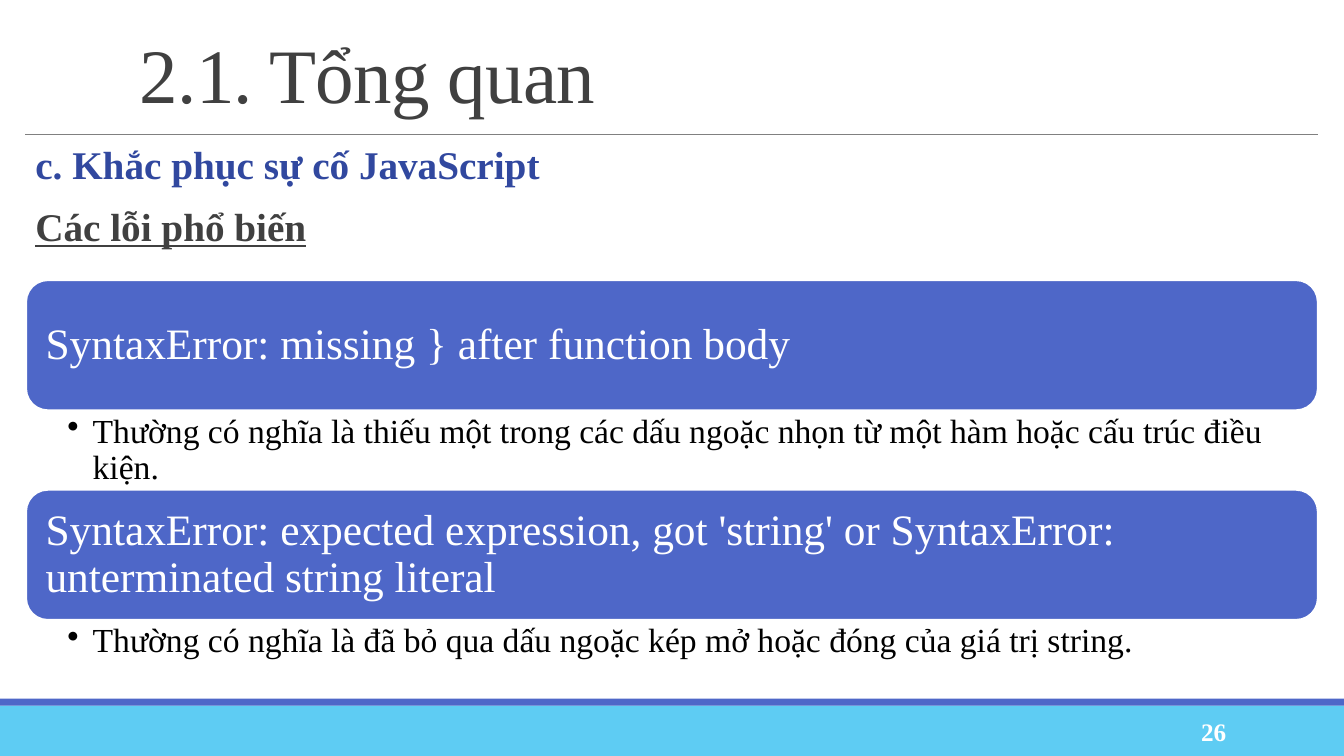
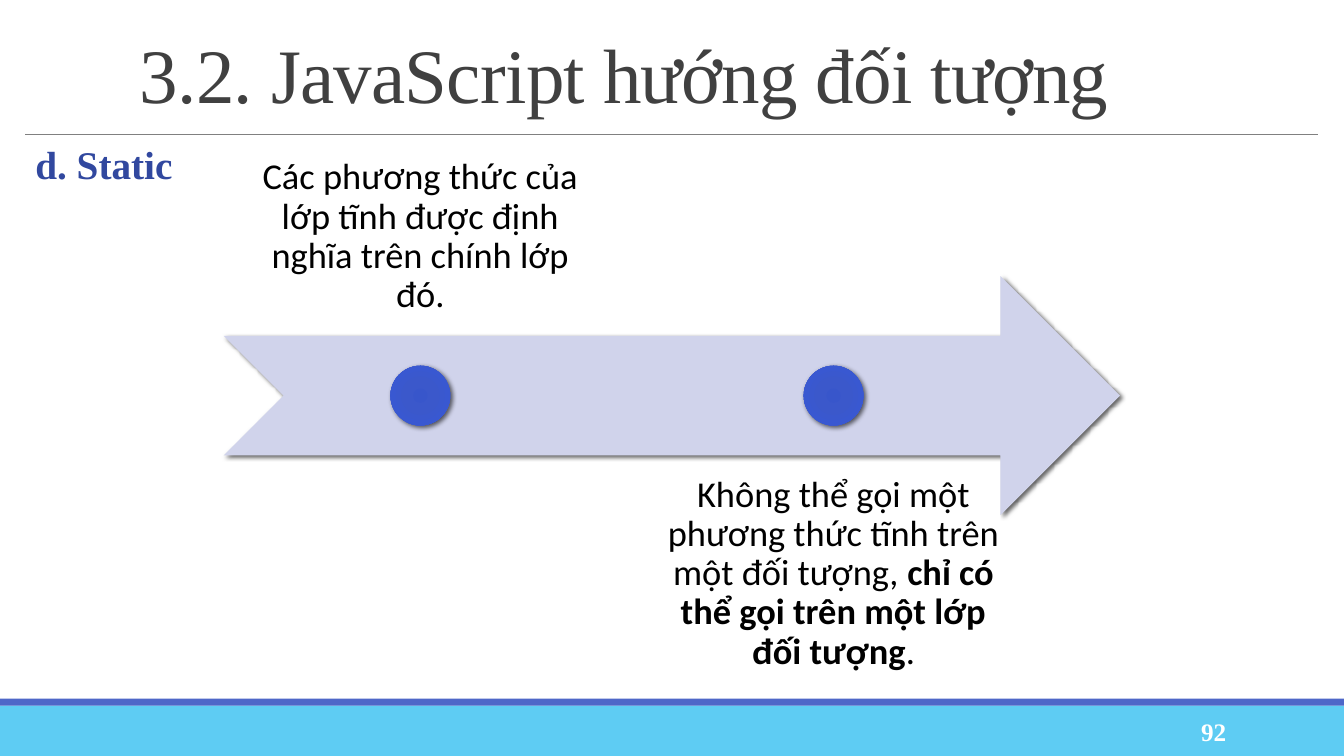
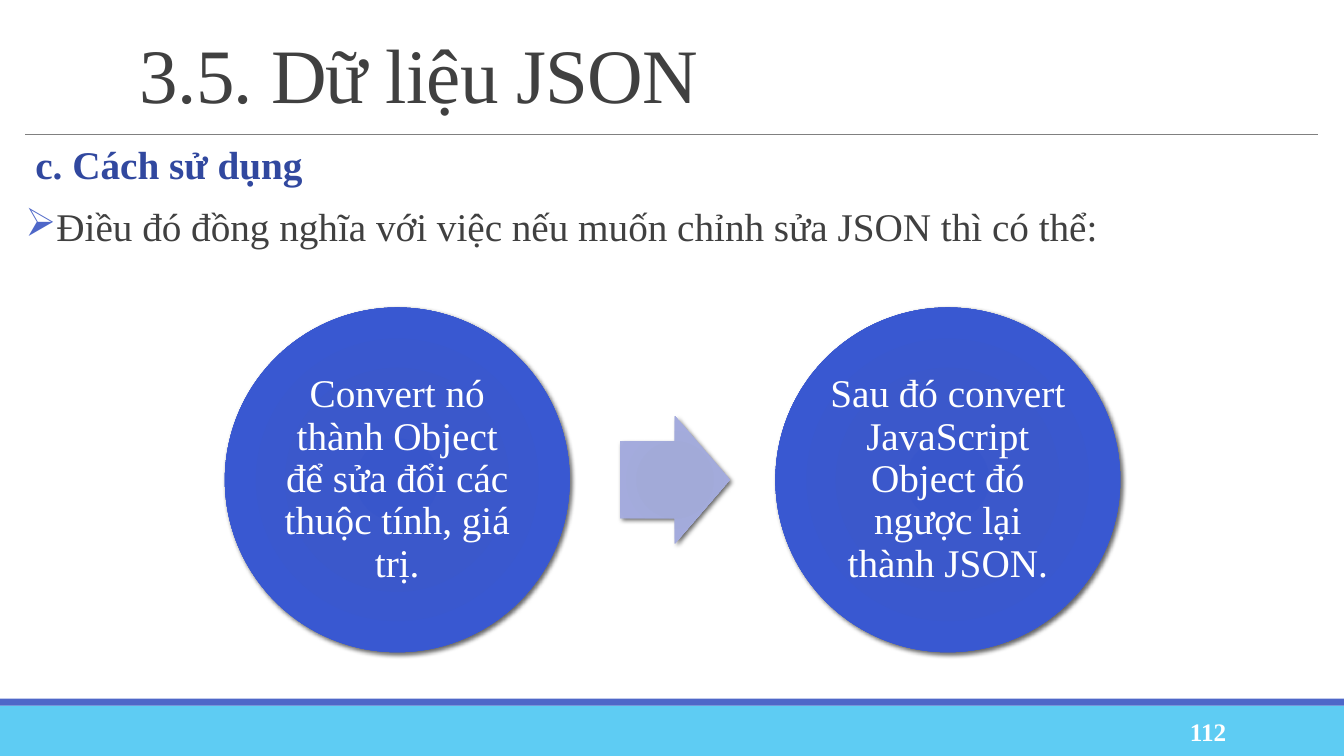
from dataclasses import dataclass

from lxml import etree
from pptx import Presentation
from pptx.dml.color import RGBColor
from pptx.enum.shapes import MSO_CONNECTOR, MSO_SHAPE
from pptx.enum.text import MSO_ANCHOR, PP_ALIGN
from pptx.oxml import parse_xml
from pptx.oxml.ns import nsdecls, qn
from pptx.util import Inches, Pt

RECTANGLE = MSO_SHAPE.RECTANGLE
ROUNDED = MSO_SHAPE.ROUNDED_RECTANGLE
ELLIPSE = MSO_SHAPE.OVAL
RIGHT_ARROW = MSO_SHAPE.RIGHT_ARROW
NOTCHED_ARROW = MSO_SHAPE.NOTCHED_RIGHT_ARROW
STRAIGHT = MSO_CONNECTOR.STRAIGHT
TOP, MIDDLE, BOTTOM = MSO_ANCHOR.TOP, MSO_ANCHOR.MIDDLE, MSO_ANCHOR.BOTTOM
LEFT, CENTER, RIGHT = PP_ALIGN.LEFT, PP_ALIGN.CENTER, PP_ALIGN.RIGHT

SERIF, SANS = "Times New Roman", "Calibri"
COLOURS = {
    "band": "5ECCF3",
    "accent": "4E67C8",
    "rule": "808080",
    "title": "404040",
    "heading": "31489F",
    "pale": "D0D3EB",
    "white": "FFFFFF",
    "black": "000000",
}
GRADIENTS = {
    "strong": ["3856CB", "3B58CB", "3958D1", "4863CE"],
    "soft": ["A0A7D7", "A2AAD8", "A4ABDD", "B0B7E2"],
}
GRADIENT_STOPS = [0, 34, 70, 100]


@dataclass
class Box:
    left: float
    top: float
    width: float
    height: float

    def share(self, left, top, width, height):
        return Box(
            self.left + self.width * left / 100,
            self.top + self.height * top / 100,
            self.width * width / 100,
            self.height * height / 100,
        )

    def lengths(self):
        return [Inches(side) for side in (self.left, self.top, self.width, self.height)]


SLIDE = Box(0, 0, 13.33, 7.5)
TITLE = SLIDE.share(9.68, 4.13, 88.37, 12.8)
BODY = SLIDE.share(1.88, 18.67, 96.17, 71.2)
NUMBER = SLIDE.share(81.25, 94.13, 10.73, 5.33)


def colour(name):
    return RGBColor.from_string(COLOURS[name])


def fill_gradient(shape, name):
    stops = "".join(
        f'<a:gs pos="{stop * 1000}"><a:srgbClr val="{value}"/></a:gs>'
        for stop, value in zip(GRADIENT_STOPS, GRADIENTS[name])
    )
    edges = " ".join(f'{side}="100000"' for side in "ltrb")
    gradient = parse_xml(
        f'<a:gradFill {nsdecls("a")} rotWithShape="1"><a:gsLst>{stops}</a:gsLst>'
        f'<a:path path="circle"><a:fillToRect {edges}/></a:path></a:gradFill>'
    )
    shape.fill.background()
    properties = shape._element.spPr
    properties.replace(properties.find(qn("a:noFill")), gradient)


def cast_shadow(shape, blur):
    effects = shape._element.spPr.find(qn("a:effectLst"))
    effects.append(parse_xml(
        f'<a:outerShdw {nsdecls("a")} blurRad="{Pt(blur)}" dist="{Pt(2)}" '
        'dir="2700000" algn="tl" rotWithShape="0"><a:srgbClr val="000000">'
        '<a:alpha val="60000"/></a:srgbClr></a:outerShdw>'
    ))


def add_figure(page, kind, box, fill=None, gradient=None, outline=None, shadow=None):
    shape = page.shapes.add_shape(kind, *box.lengths())
    shape.shadow.inherit = False
    if gradient:
        fill_gradient(shape, gradient)
    else:
        shape.fill.solid()
        shape.fill.fore_color.rgb = colour(fill)
    if outline:
        shape.line.color.rgb = colour(outline)
        shape.line.width = Pt(1.25)
    else:
        shape.line.fill.background()
    if shadow:
        cast_shadow(shape, shadow)
    return shape


def set_frame(shape, anchor=TOP, insets=(0.1, 0.05, 0.1, 0.05)):
    frame = shape.text_frame
    frame.word_wrap = True
    frame.vertical_anchor = anchor
    (frame.margin_left, frame.margin_top,
     frame.margin_right, frame.margin_bottom) = map(Inches, insets)
    return frame


def add_frame(page, box, **options):
    return set_frame(page.shapes.add_textbox(*box.lengths()), **options)


def set_bullet(para, symbol, tint):
    properties = para._p.get_or_add_pPr()
    holder = etree.SubElement(properties, qn("a:buClr"))
    etree.SubElement(holder, qn("a:srgbClr"), val=COLOURS[tint])
    etree.SubElement(properties, qn("a:buChar"), char=symbol)


def write(frame, text, size, tint, font=SERIF, bold=False, underline=False,
          align=LEFT, spacing=0.9, before=0, after=0, margin=0, hanging=0,
          bullet=None, bullet_tint="black", tracking=None):
    para = frame.paragraphs[0]
    if para.runs:
        para = frame.add_paragraph()
        para.space_before = Pt(before)
    para.alignment = align
    para.line_spacing = spacing
    para.space_after = Pt(after)
    if margin:
        properties = para._p.get_or_add_pPr()
        properties.set("marL", str(Inches(margin)))
        properties.set("indent", str(-Inches(hanging)))
    if bullet:
        set_bullet(para, bullet, bullet_tint)
    spans = [(text, bold)] if isinstance(text, str) else text
    for words, strong in spans:
        span = para.add_run()
        span.text = words
        span.font.name = font
        span.font.size = Pt(size)
        span.font.bold = strong
        span.font.underline = underline
        span.font.color.rgb = colour(tint)
        if tracking:
            span._r.get_or_add_rPr().set("spc", str(int(tracking * 100)))


def add_page(deck, title, number, heading):
    page = deck.slides.add_slide(deck.slide_layouts[6])
    add_figure(page, RECTANGLE, SLIDE.share(0, 93.33, 100, 6.67), fill="band")
    add_figure(page, RECTANGLE, SLIDE.share(0, 92.4, 100, 0.93), fill="accent")
    left, top, width, _ = SLIDE.share(1.88, 17.77, 96.17, 0).lengths()
    rule = page.shapes.add_connector(STRAIGHT, left, top, left + width, top)
    rule.line.color.rgb = colour("rule")
    rule.line.width = Pt(0.5)
    etree.SubElement(rule._element.spPr, qn("a:effectLst"))
    write(add_frame(page, TITLE, anchor=MIDDLE), title, 55, "title",
          spacing=0.85, tracking=-0.5)
    write(add_frame(page, NUMBER, anchor=MIDDLE), number, 18, "white",
          bold=True, align=RIGHT, spacing=1)
    body = add_frame(page, BODY, insets=(0, 0.05, 0, 0.05))
    write(body, heading, 28, "heading", bold=True, after=2, margin=0.1)
    return page, body


def add_error_list(page, box, errors):
    heading_height = 32.82
    top = 0
    for message, note, note_height in errors:
        bar = add_figure(page, ROUNDED, box.share(0, top, 100, heading_height),
                         fill="accent", outline="white")
        write(set_frame(bar, anchor=MIDDLE, insets=(0.13, 0.13, 0.13, 0.13)),
              message, 31, "white")
        top += heading_height
        frame = add_frame(page, box.share(0, top, 100, note_height),
                          insets=(0.41, 0.04, 0.24, 0.04))
        write(frame, note, 24, "black", margin=0.25, hanging=0.25, bullet="•")
        top += note_height


def add_timeline(page, box, facts):
    add_figure(page, NOTCHED_ARROW, box.share(0, 30, 100, 40), fill="pale", shadow=3)
    column, step = 43.87, 46.1
    dot = 10 * box.height / box.width
    for index, fact in enumerate(facts):
        left = index * step
        frame = add_frame(page, box.share(left, index * 60, column, 40),
                          anchor=TOP if index else BOTTOM, insets=(0.2, 0.2, 0.2, 0.2))
        write(frame, fact, 26, "black", font=SANS, align=CENTER)
        add_figure(page, ELLIPSE, box.share(left + (column - dot) / 2, 45, dot, 10),
                   gradient="strong", shadow=3.5)


def add_process(page, box, steps):
    circle = 100 * box.height / box.width
    for index, step in enumerate(steps):
        disc = add_figure(page, ELLIPSE, box.share(index * (100 - circle), 0, circle, 100),
                          gradient="strong", shadow=3.5)
        write(set_frame(disc, anchor=MIDDLE, insets=(0.04, 0.04, 0.04, 0.04)),
              step, 28, "white", align=CENTER)
    arrow = add_figure(page, RIGHT_ARROW, box.share(44.14, 31.5, 12.27, 37),
                       gradient="soft", shadow=3.5)
    arrow.adjustments[0] = 0.6
    arrow.adjustments[1] = 0.5


def build_errors(deck):
    page, body = add_page(deck, "2.1. Tổng quan", "26", "c. Khắc phục sự cố JavaScript")
    write(body, "Các lỗi phổ biến", 28, "title", bold=True, underline=True,
          before=12, after=2, margin=0.1)
    add_error_list(page, SLIDE.share(1.95, 37.07, 96.1, 52.4), [
        ("SyntaxError: missing } after function body",
         "Thường có nghĩa là thiếu một trong các dấu ngoặc nhọn từ một hàm "
         "hoặc cấu trúc điều kiện.", 20.1),
        ("SyntaxError: expected expression, got 'string' or SyntaxError: "
         "unterminated string literal",
         "Thường có nghĩa là đã bỏ qua dấu ngoặc kép mở hoặc đóng của giá trị string.",
         14.25),
    ])


def build_static(deck):
    page, _ = add_page(deck, "3.2. JavaScript hướng đối tượng", "92", "d. Static")
    add_timeline(page, SLIDE.share(16.65, 12.8, 66.69, 79.07), [
        "Các phương thức của lớp tĩnh được định nghĩa trên chính lớp đó.",
        [("Không thể gọi một phương thức tĩnh trên một đối tượng, ", False),
         ("chỉ có thể gọi trên một lớp đối tượng", True),
         (".", False)],
    ])


def build_json(deck):
    page, body = add_page(deck, "3.5. Dữ liệu JSON", "112", "c. Cách sử dụng")
    write(body, "Điều đó đồng nghĩa với việc nếu muốn chỉnh sửa JSON thì có thể:",
          28, "title", before=12, after=2, margin=0.1, hanging=0.1,
          bullet="➢", bullet_tint="accent")
    add_process(page, SLIDE.share(16.73, 40.67, 66.62, 45.6), [
        "Convert nó thành Object để sửa đổi các thuộc tính, giá trị.",
        "Sau đó convert JavaScript Object đó ngược lại thành JSON.",
    ])


def main():
    deck = Presentation()
    deck.slide_width = Inches(SLIDE.width)
    deck.slide_height = Inches(SLIDE.height)
    build_errors(deck)
    build_static(deck)
    build_json(deck)
    deck.save("out.pptx")


if __name__ == "__main__":
    main()
